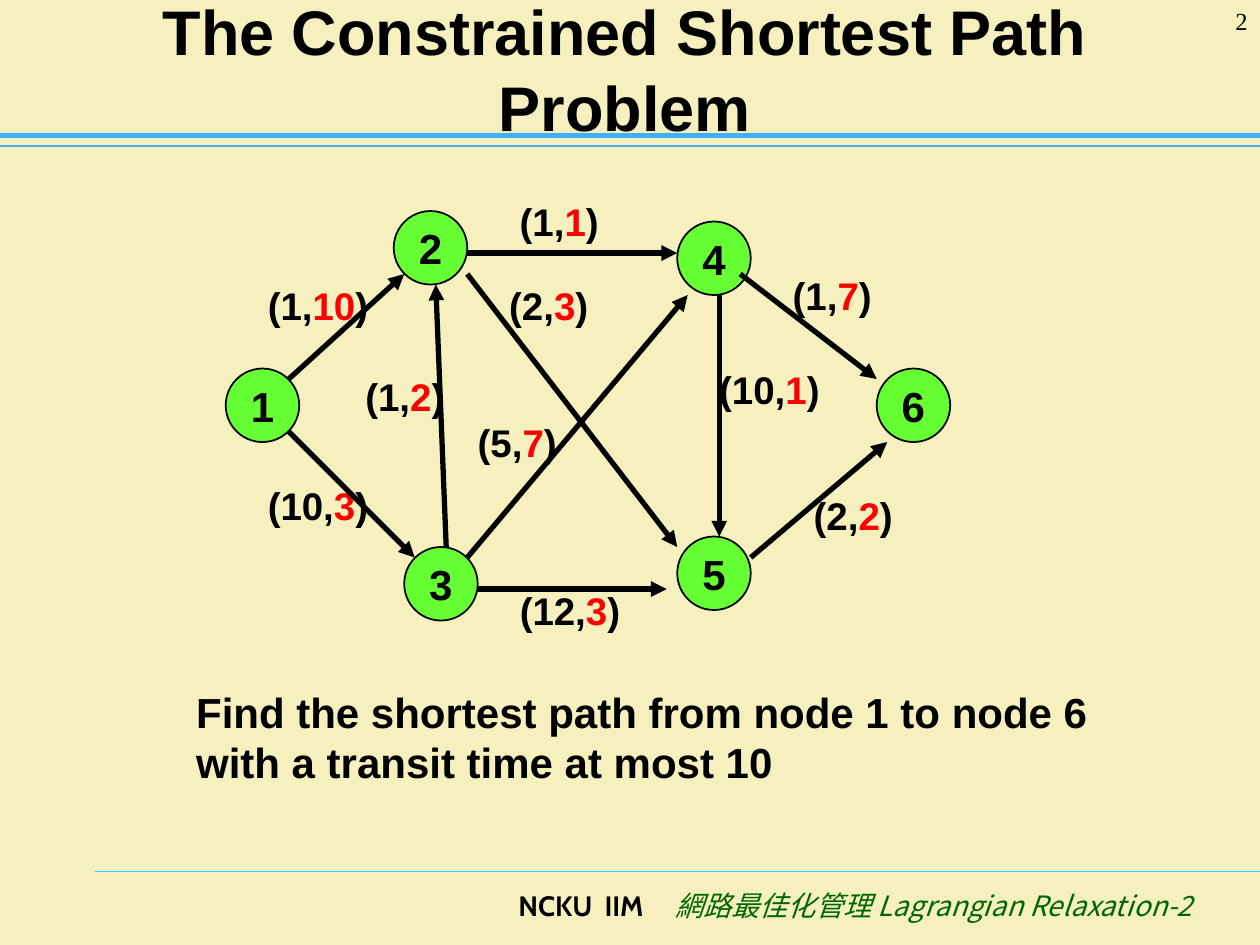
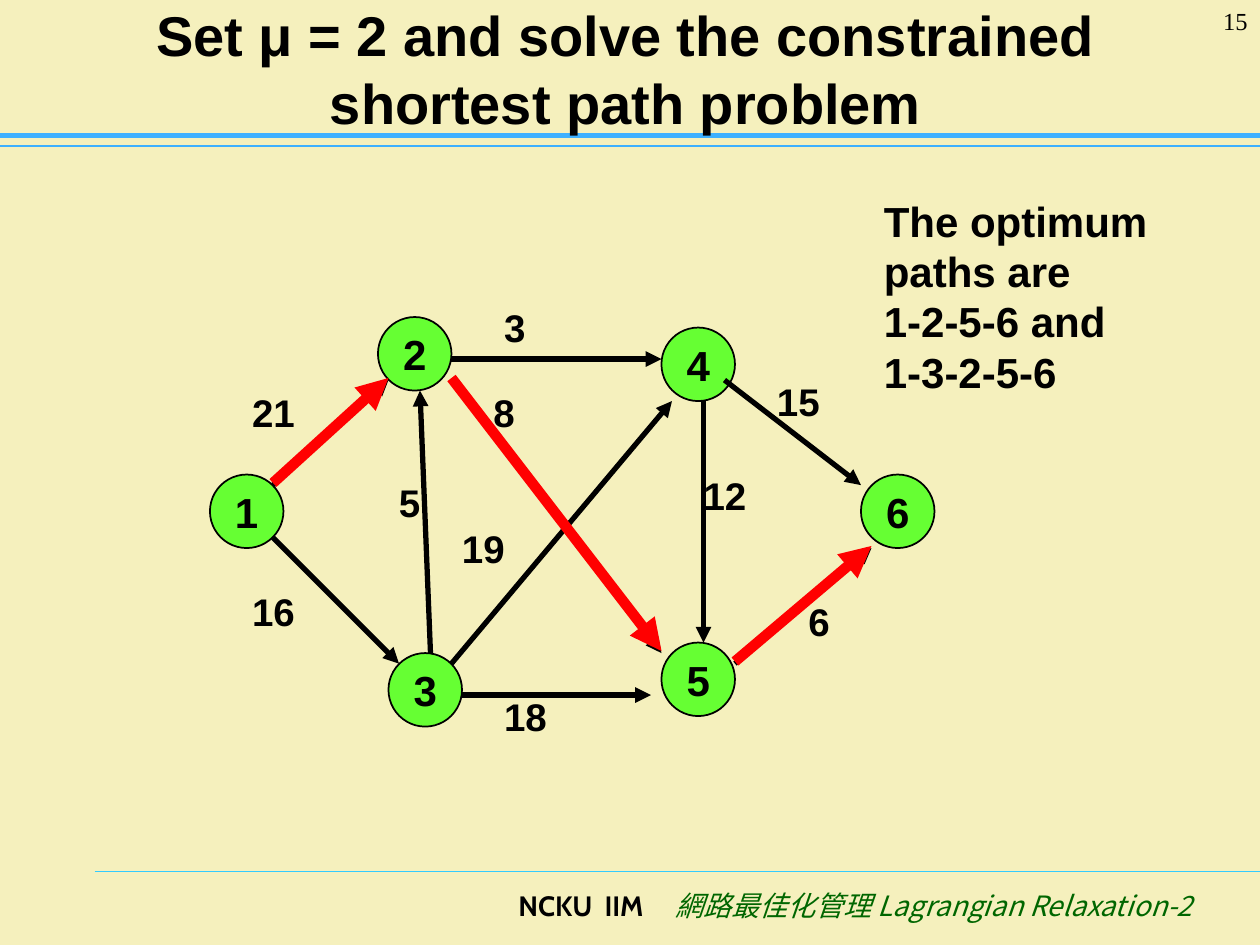
from dataclasses import dataclass

from lxml import etree
from pptx import Presentation
from pptx.dml.color import RGBColor
from pptx.enum.shapes import MSO_CONNECTOR, MSO_SHAPE
from pptx.enum.text import MSO_ANCHOR, PP_ALIGN
from pptx.oxml.ns import qn
from pptx.util import Emu, Pt

# Scale: 120 px to the inch
SCALE = 7620
WIDE, HIGH = 1200, 900

LEFT, MID, RIGHT = PP_ALIGN.LEFT, PP_ALIGN.CENTER, PP_ALIGN.RIGHT
TOP, CENTER = MSO_ANCHOR.TOP, MSO_ANCHOR.MIDDLE
OVAL, STRAIGHT = MSO_SHAPE.OVAL, MSO_CONNECTOR.STRAIGHT

BLACK, RED, GREEN, LIME = "000000", "FF0000", "006600", "66FF33"
CREAM, BLUE, CYAN = "F5F0BD", "3DB0FF", "33CCFF"
SANS, SERIF, BRAND, ASIAN = "Arial", "Times New Roman", "Cabin", "Noto Sans CJK SC"

NODE = 70
MU = 2


@dataclass(frozen=True)
class Box:
    x: int
    y: int
    w: int
    h: int


@dataclass(frozen=True)
class Font:
    size: int
    name: str = SANS
    bold: bool = True
    italic: bool = False


@dataclass(frozen=True)
class Rule:
    x: int
    y: int
    color: str
    width: float


@dataclass(frozen=True)
class Arc:
    start: tuple[int, int]
    end: tuple[int, int]
    spot: tuple[int, int]
    cost: int
    time: int
    best: bool = False
    shift: int = 0  # moves the longer pair label to the left


# Shared lines and the network, placed from the corner of the graph
RULES = [Rule(90, 830, CYAN, 0.75), Rule(0, 139, BLUE, 0.75), Rule(0, 129, BLUE, 2.5)]

NODES = {
    "1": (0, 150), "2": (160, 0), "4": (430, 10),
    "5": (430, 310), "3": (170, 320), "6": (620, 150),
}

ARCS = [
    Arc((60, 160), (170, 60), (40, 68), 1, 10, True),
    Arc((230, 40), (430, 40), (280, -12), 1, 1),
    Arc((230, 60), (430, 320), (270, 68), 2, 3, True),
    Arc((60, 210), (180, 330), (40, 258), 10, 3),
    Arc((210, 320), (200, 70), (180, 154), 1, 2, shift=47),
    Arc((230, 330), (440, 80), (240, 198), 5, 7),
    Arc((240, 360), (420, 360), (280, 358), 12, 3),
    Arc((500, 330), (630, 220), (570, 268), 2, 2, True, 10),
    Arc((490, 60), (620, 160), (540, 58), 1, 7),
    Arc((470, 80), (470, 310), (470, 148), 10, 1),
]


def px(n: float) -> Emu:
    return Emu(round(n * SCALE))


def rgb(color: str) -> RGBColor:
    return RGBColor.from_string(color)


def style(font, look: Font) -> None:
    font.size, font.name = Pt(look.size), look.name
    font.bold, font.italic = look.bold, look.italic


def frame(shape, inset: bool = True, wrap: bool = True, anchor=TOP):
    body = shape.text_frame
    body.word_wrap, body.vertical_anchor = wrap, anchor
    body.margin_left = body.margin_right = px(12 if inset else 0)
    body.margin_top = body.margin_bottom = px(6 if inset else 0)
    return body


def area(slide, box: Box, **kind):
    shape = slide.shapes.add_textbox(px(box.x), px(box.y), px(box.w), px(box.h))
    return frame(shape, **kind)


def write(body, runs: list[tuple[str, str]], look: Font, align=LEFT) -> None:
    para = body.paragraphs[0]
    para.alignment = align
    style(para.font, look)
    for text, color in runs:
        for i, part in enumerate(text.split("\n")):
            if i:
                para.add_line_break()
            run = para.add_run()
            run.text = part
            run.font.color.rgb = rgb(color)


def line(slide, start, end, color: str, width: float, head: bool = False) -> None:
    link = slide.shapes.add_connector(STRAIGHT, *map(px, (*start, *end)))
    link.line.color.rgb = rgb(color)
    link.line.width = Pt(width)
    if head:
        etree.SubElement(link.line._get_or_add_ln(), qn("a:tailEnd"), type="triangle")
    etree.SubElement(link._element.spPr, qn("a:effectLst"))


def footer(slide) -> None:
    para = area(slide, Box(482, 840, 718, 60)).paragraphs[0]
    tabs = etree.SubElement(para._p.get_or_add_pPr(), qn("a:tabLst"))
    for stop in (82, 150):
        etree.SubElement(tabs, qn("a:tab"), pos=str(px(stop)), algn="l")
    parts = [
        ("NCKU\tIIM\t", Font(16, BRAND), BLACK),
        ("網路最佳化管理 Lagrangian Relaxation-2", Font(16, ASIAN, False, True), GREEN),
    ]
    for text, look, color in parts:
        run = para.add_run()
        run.text = text
        style(run.font, look)
        run.font.color.rgb = rgb(color)
        etree.SubElement(run._r.get_or_add_rPr(), qn("a:ea"), typeface=look.name)


def base(deck, title: str, box: Box, size: int, page: int):
    slide = deck.slides.add_slide(deck.slide_layouts[6])
    for rule in RULES:
        line(slide, (rule.x, rule.y), (WIDE, rule.y), rule.color, rule.width)
    footer(slide)
    write(area(slide, box, anchor=CENTER), [(title, BLACK)], Font(size), MID)
    number = area(slide, Box(1100, 0, 100, 60))
    write(number, [(str(page), BLACK)], Font(14, SERIF, False), RIGHT)
    return slide


def label(slide, x: int, y: int, runs: list[tuple[str, str]]) -> None:
    text = "".join(part for part, _ in runs)
    width = sum({",": 11, "(": 13, ")": 13}.get(char, 21) for char in text)
    write(area(slide, Box(x, y, width, 44), inset=False), runs, Font(22))


def graph(slide, left: int, top: int, solved: bool) -> None:
    def at(spot: tuple[int, int], lift: int = 0) -> tuple[int, int]:
        return left + spot[0], top + spot[1] - lift

    # Arc labels: cost and time, or the cost with time priced at MU
    for arc in ARCS:
        x, y = at(arc.spot)
        if solved:
            runs = [(str(arc.cost + MU * arc.time), BLACK)]
        else:
            runs = [(f"({arc.cost},", BLACK), (str(arc.time), RED), (")", BLACK)]
            x -= arc.shift
        label(slide, x, y, runs)

    # Nodes
    for name, spot in NODES.items():
        node = slide.shapes.add_shape(OVAL, *map(px, (*at(spot), NODE, NODE)))
        node.shadow.inherit = False
        node.fill.solid()
        node.fill.fore_color.rgb = rgb(LIME)
        node.line.color.rgb = rgb(BLACK)
        node.line.width = Pt(1)
        write(frame(node, wrap=False, anchor=CENTER), [(name, BLACK)], Font(24), MID)

    # Arcs, then the best path on top
    for arc in ARCS:
        line(slide, at(arc.start), at(arc.end), BLACK, 3, True)
    if solved:
        for arc in filter(lambda arc: arc.best, ARCS):
            line(slide, at(arc.start, 2), at(arc.end, 2), RED, 6, True)


def note(slide, box: Box, text: str) -> None:
    write(area(slide, box), [(text, BLACK)], Font(24))


def main() -> None:
    deck = Presentation()
    deck.slide_width, deck.slide_height = px(WIDE), px(HIGH)
    fill = deck.slide_master.background.fill
    fill.solid()
    fill.fore_color.rgb = rgb(CREAM)

    # The problem
    slide = base(deck, "The Constrained Shortest Path Problem",
                 Box(20, 40, 1150, 50), 36, 2)
    graph(slide, 215, 201, False)
    note(slide, Box(175, 648, 930, 108),
         "Find the shortest path from node 1 to node 6 with a transit time at most 10")

    # The solution
    slide = base(deck, "Set μ = 2 and solve the constrained shortest path problem",
                 Box(42, 0, 1108, 130), 32, 15)
    graph(slide, 200, 302, True)
    note(slide, Box(830, 180, 350, 204),
         "The optimum paths are\n1-2-5-6 and\n1-3-2-5-6")

    deck.save("out.pptx")


if __name__ == "__main__":
    main()
